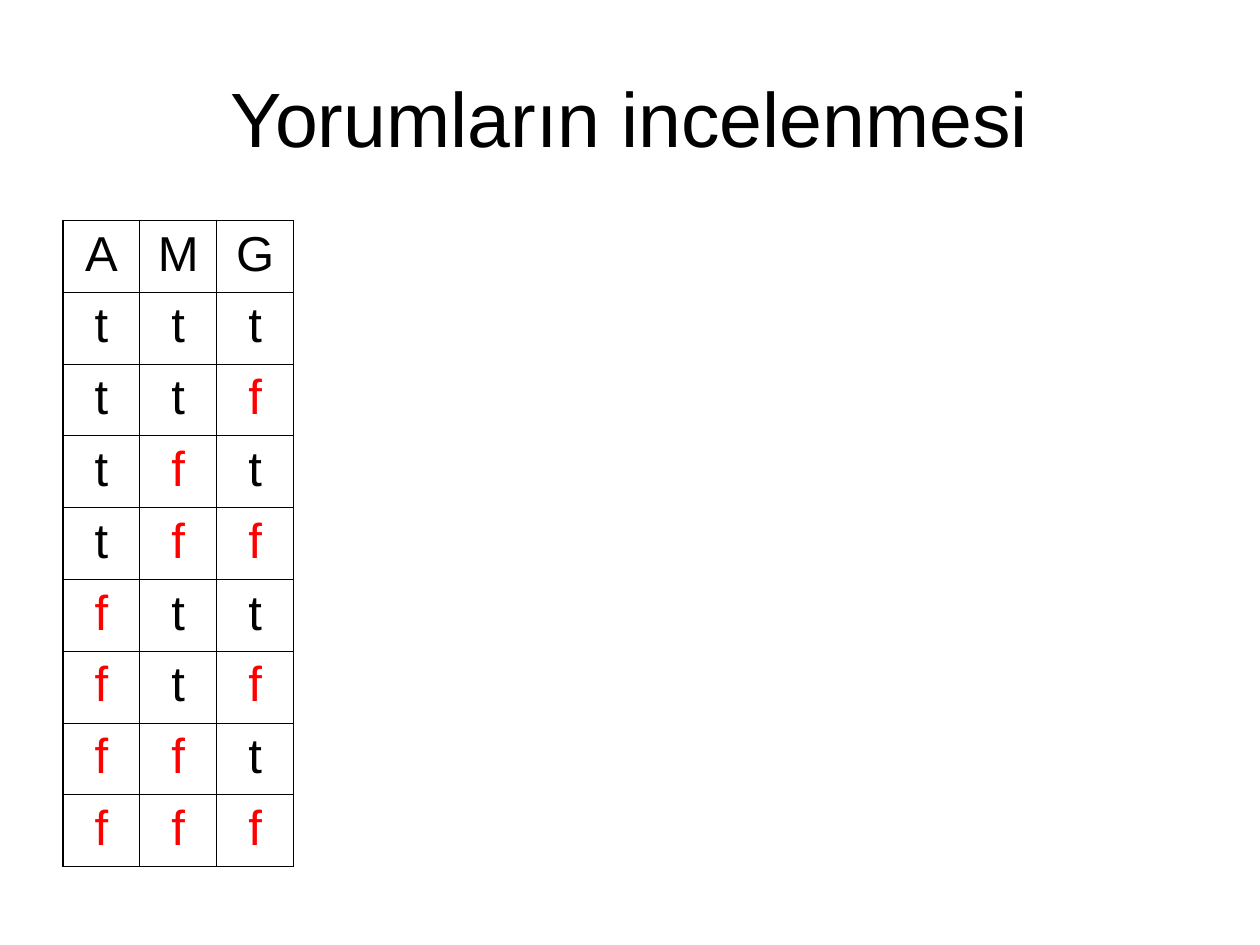
"""Build the slide listing every interpretation of three propositions."""
from itertools import product

from lxml.etree import SubElement
from pptx import Presentation
from pptx.dml.color import RGBColor as RGB
from pptx.enum.text import MSO_ANCHOR as Anchor, PP_ALIGN as Align
from pptx.oxml.ns import qn
from pptx.util import Inches, Pt

TITLE = "Yorumların incelenmesi"
PROPOSITIONS = ("A", "M", "G")
INTERPRETATIONS = [PROPOSITIONS, *product("tf", repeat=len(PROPOSITIONS))]

COLORS = {"text": "000000", "false": "FF0000", "border": "000000"}
FONT = "Arial"
COLUMN_WIDTH, ROW_HEIGHT = 0.61, 0.57
OUTER_LINE, INNER_LINE = 1.08, 0.45


def write(frame, text, size, color, space_before=0):
    paragraph = frame.paragraphs[0]
    paragraph.alignment = Align.CENTER
    paragraph.space_before = Pt(space_before)
    run = paragraph.add_run()
    run.text = text
    font_format = {"name": FONT, "size": Pt(size), "bold": False}
    for name, value in font_format.items():
        setattr(run.font, name, value)
    run.font.color.rgb = RGB.from_string(COLORS[color])


def draw_borders(cell, outer_sides):
    properties = cell._tc.get_or_add_tcPr()
    for side, is_outer in outer_sides.items():
        width = Pt(OUTER_LINE if is_outer else INNER_LINE)
        line = SubElement(properties, qn(f"a:ln{side}"), w=str(width))
        fill = SubElement(line, qn("a:solidFill"))
        SubElement(fill, qn("a:srgbClr"), val=COLORS["border"])


def add_title(slide):
    box = slide.shapes.add_textbox(Inches(0.5), Inches(0.3), Inches(9), Inches(1.25))
    frame = box.text_frame
    frame.word_wrap = True
    frame.vertical_anchor = Anchor.MIDDLE
    write(frame, TITLE, 44, "text")


def add_truth_table(slide):
    row_count, column_count = len(INTERPRETATIONS), len(PROPOSITIONS)
    table = slide.shapes.add_table(
        row_count, column_count, Inches(0.5), Inches(1.75),
        Inches(COLUMN_WIDTH * column_count), Inches(ROW_HEIGHT * row_count),
    ).table
    table.first_row = table.horz_banding = False
    for column in table.columns:
        column.width = Inches(COLUMN_WIDTH)
    for row in table.rows:
        row.height = Inches(ROW_HEIGHT)
    for r, values in enumerate(INTERPRETATIONS):
        for c, value in enumerate(values):
            cell = table.cell(r, c)
            color = "false" if value == "f" else "text"
            write(cell.text_frame, value, 28, color, space_before=7)
            draw_borders(cell, {
                "L": c == 0, "R": c == column_count - 1,
                "T": r == 0, "B": r == row_count - 1,
            })
            cell.fill.background()


def main():
    deck = Presentation()
    deck.slide_width, deck.slide_height = Inches(10), Inches(7.5)
    slide = deck.slides.add_slide(deck.slide_layouts[6])
    add_title(slide)
    add_truth_table(slide)
    deck.save("out.pptx")


if __name__ == "__main__":
    main()
